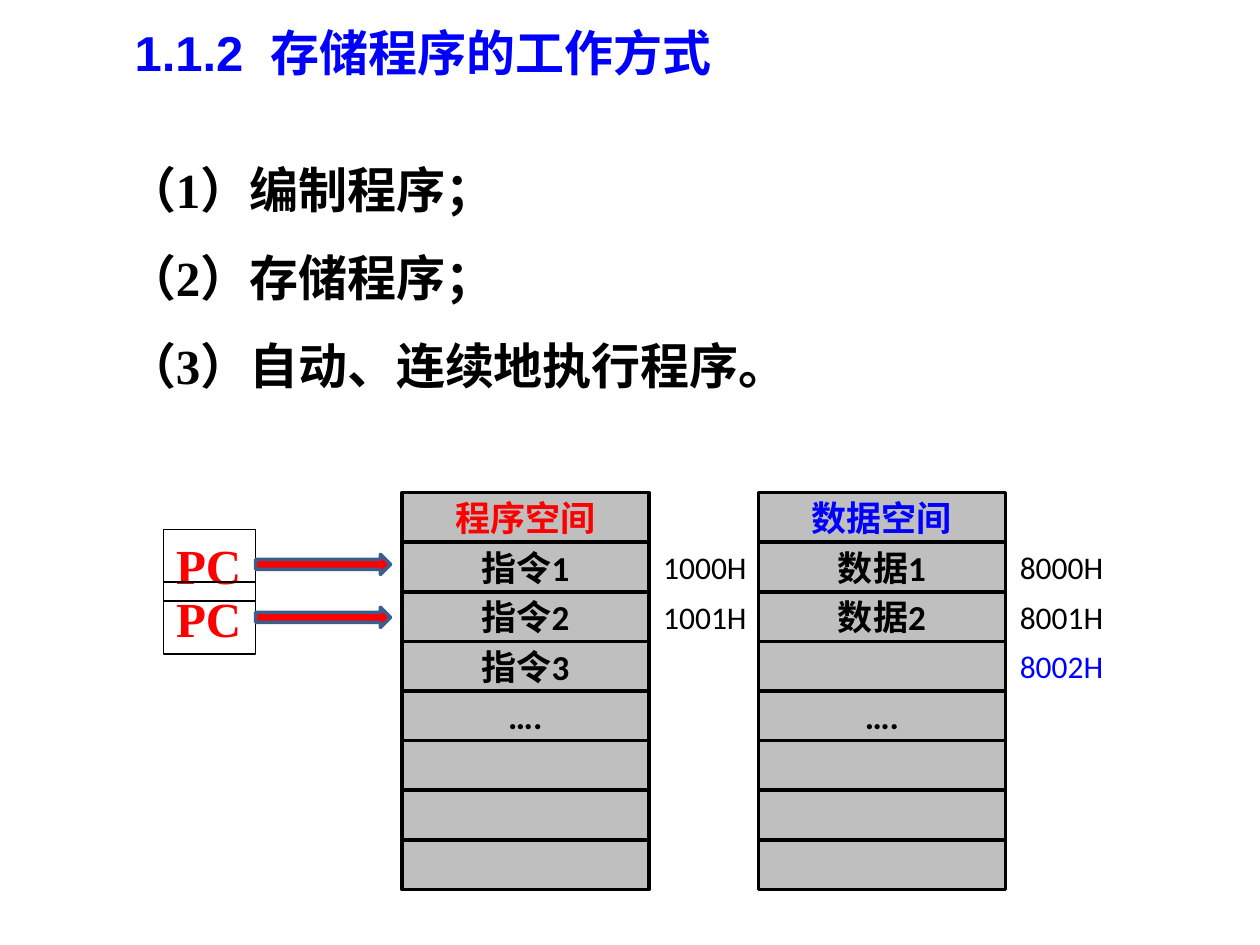
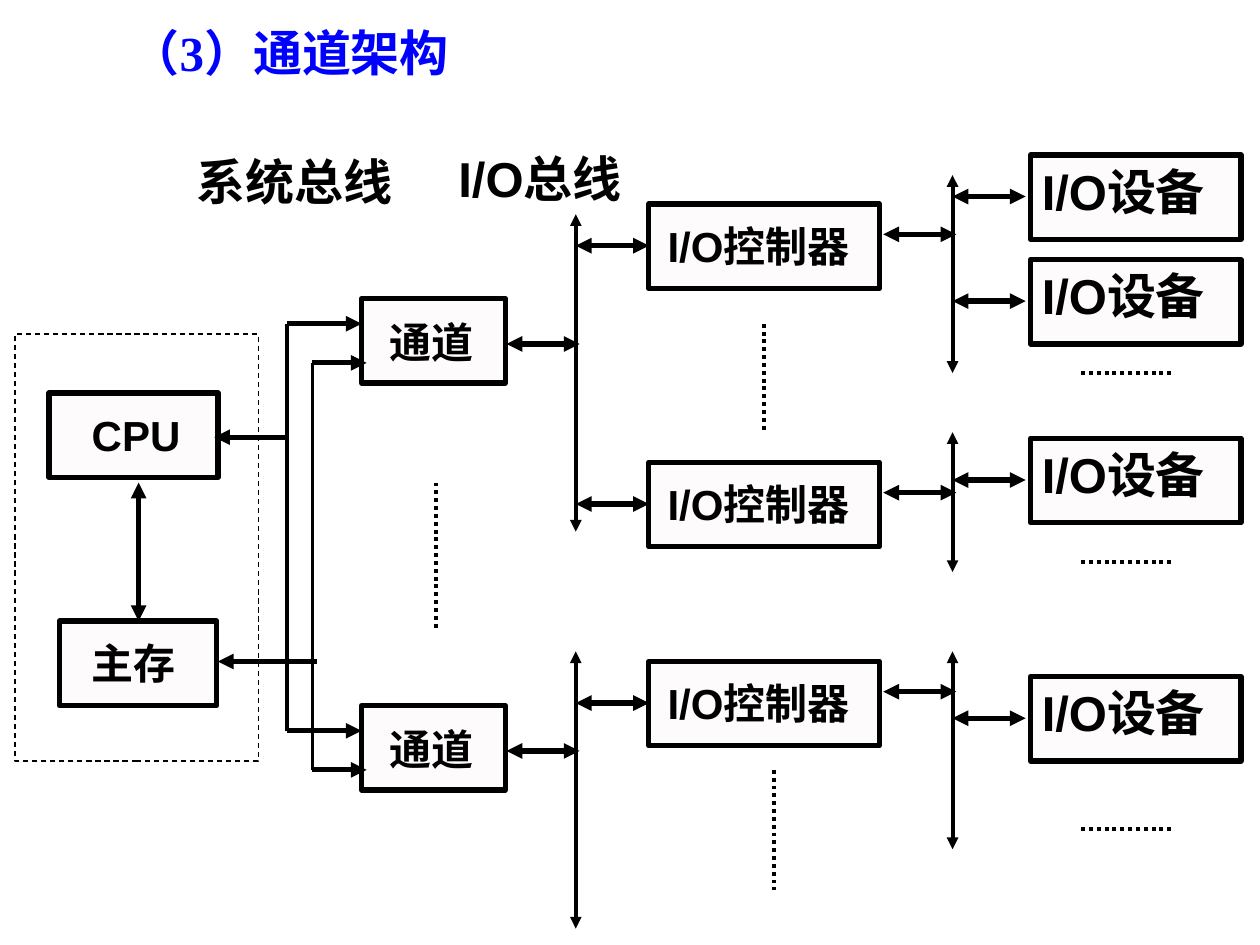
from lxml import etree
from pptx import Presentation
from pptx.dml.color import RGBColor
from pptx.enum.dml import MSO_LINE
from pptx.enum.shapes import MSO_CONNECTOR, MSO_SHAPE
from pptx.enum.text import MSO_ANCHOR, PP_ALIGN
from pptx.oxml.ns import qn
from pptx.util import Inches, Pt

RECTANGLE = MSO_SHAPE.RECTANGLE
RIGHT_ARROW = MSO_SHAPE.RIGHT_ARROW
STRAIGHT = MSO_CONNECTOR.STRAIGHT
DASH = MSO_LINE.DASH
DOTS = MSO_LINE.ROUND_DOT
LEFT, CENTER = PP_ALIGN.LEFT, PP_ALIGN.CENTER
TOP, MIDDLE = MSO_ANCHOR.TOP, MSO_ANCHOR.MIDDLE

COLORS = {
    "black": "000000",
    "white": "FFFFFF",
    "blue": "0000FF",
    "red": "FF0000",
    "cell": "BFBFBF",
    "node": "FDFBFB",
    "arrow_edge": "3A5F8C",
}
SANS, SERIF, BODY = "Arial", "Times New Roman", "Calibri"
TITLE_SIZE = 28
THICK, THIN = 3, 2.25
ROW_HEIGHT = 3.15 / 8


def color(name):
    return RGBColor.from_string(COLORS[name])


def write(shape, lines, size, font, ink="black", bold=True, align=LEFT,
          anchor=TOP, wrap=True, spacing=None):
    frame = shape.text_frame
    frame.text = "\n".join(lines)
    frame.word_wrap = wrap
    frame.vertical_anchor = anchor
    for para in frame.paragraphs:
        para.alignment = align
        para.line_spacing = spacing
        for span in para.runs:
            span.font.size = Pt(size)
            span.font.name = font
            span.font.bold = bold
            span.font.color.rgb = color(ink)


def add_text(page, place, lines, size, font, **style):
    box = page.shapes.add_textbox(*map(Inches, place))
    write(box, lines, size, font, **style)


def add_title(page, place, text, font):
    add_text(page, place, [text], TITLE_SIZE, font, ink="blue")


def add_box(page, place, fill=None, edge=None, width=THICK, kind=RECTANGLE):
    box = page.shapes.add_shape(kind, *map(Inches, place))
    box.shadow.inherit = False
    if fill:
        box.fill.solid()
        box.fill.fore_color.rgb = color(fill)
    else:
        box.fill.background()
    if edge:
        box.line.color.rgb = color(edge)
        box.line.width = Pt(width)
    else:
        box.line.fill.background()
    return box


def add_line(page, start, end, width=THICK, head=False, tail=False, dash=None):
    line = page.shapes.add_connector(STRAIGHT, *map(Inches, (*start, *end)))
    line.line.color.rgb = color("black")
    line.line.width = Pt(width)
    if dash:
        line.line.dash_style = dash
    outline = line.line._get_or_add_ln()
    for tag, wanted in (("a:headEnd", head), ("a:tailEnd", tail)):
        if wanted:
            etree.SubElement(outline, qn(tag), type="triangle")
    etree.SubElement(line._element.spPr, qn("a:effectLst"))


def add_link(page, left, y, length=0.58):
    add_line(page, (left, y), (left + length, y), head=True, tail=True)


def add_bus(page, x, top, bottom):
    add_line(page, (x, top), (x, bottom), THIN, head=True, tail=True)


def add_dots(page, start, end):
    add_line(page, start, end, THIN, dash=DOTS)


def add_node(page, place, text, label_place, size=24):
    add_box(page, place, "node", "black")
    add_text(page, label_place, [text], size, SANS)


def add_program_counter(page, top):
    box = add_box(page, (1.3, top, 0.73, 0.57), edge="black", width=0.75)
    write(box, ["PC"], 28, SERIF, ink="red", wrap=False)
    add_box(page, (2.03, top + 0.2, 1.07, 0.16), "red", "arrow_edge", 2, RIGHT_ARROW)


def add_memory(page, left, heading, heading_ink, contents, addresses):
    top = 3.91
    for row, (address, ink) in enumerate(addresses, 1):
        place = (left + 1.89, top + row * ROW_HEIGHT, 1.03, ROW_HEIGHT)
        box = add_box(page, place, "white")
        write(box, [address], 18, BODY, ink, False, CENTER, MIDDLE)
    for row, text in enumerate([heading, *contents]):
        place = (left, top + row * ROW_HEIGHT, 1.96, ROW_HEIGHT)
        box = add_box(page, place, "cell", "black", 2)
        if text:
            ink = "black" if row else heading_ink
            write(box, [text], 20, BODY, ink, True, CENTER, MIDDLE)


def add_channel(page, top):
    add_node(page, (2.87, top, 1.14, 0.67), "通道", (2.99, top + 0.09, 1.1, 0.5))
    add_link(page, 4.02, top + 0.36)
    for bus_x, end_x, drop in ((2.28, 2.87, 0.2), (2.48, 2.91, 0.51)):
        add_line(page, (bus_x, top + drop), (end_x, top + drop), tail=True)


def add_controller(page, top):
    add_node(page, (5.15, top, 1.83, 0.67), "I/O控制器", (5.2, top + 0.08, 1.83, 0.5))
    add_link(page, 4.57, top + 0.33)
    add_link(page, 7.01, top + 0.24)


def add_device(page, top):
    add_node(page, (8.18, top, 1.67, 0.67), "I/O设备", (8.17, top, 1.62, 0.57), 28)
    add_link(page, 7.56, top + 0.33)


def build_stored_program(page):
    add_title(page, (0.97, 0.13, 6.15, 0.57), "1.1.2  存储程序的工作方式", SANS)
    steps = ["（1）编制程序；", "（2）存储程序；", "（3）自动、连续地执行程序。"]
    add_text(page, (0.91, 0.98, 7.48, 2.22), steps, 28, SERIF, spacing=1.5)
    for top in (4.2, 4.62):
        add_program_counter(page, top)
    add_memory(page, 3.19, "程序空间", "red",
               ["指令1", "指令2", "指令3", "….", "", "", ""],
               [("1000H", "black"), ("1001H", "black")])
    add_memory(page, 6.02, "数据空间", "blue",
               ["数据1", "数据2", "", "….", "", "", ""],
               [("8000H", "black"), ("8001H", "black"), ("8002H", "blue")])


def build_channel_architecture(page):
    add_title(page, (0.94, 0.13, 2.76, 0.57), "（3）通道架构", SERIF)
    add_text(page, (1.46, 1.15, 2, 0.57), ["系统总线"], 28, SANS)
    add_text(page, (3.54, 1.13, 2, 0.57), ["I/O总线"], 28, SANS)

    add_box(page, (0.12, 2.65, 1.93, 3.39), edge="black", width=0.75).line.dash_style = DASH
    add_node(page, (0.39, 3.12, 1.34, 0.67), "CPU", (0.63, 3.2, 1.17, 0.5))
    add_node(page, (0.47, 4.93, 1.25, 0.67), "主存", (0.63, 5.01, 1.17, 0.5))
    add_bus_width = THICK
    add_line(page, (1.1, 3.83), (1.1, 4.93), add_bus_width, head=True, tail=True)

    for top in (2.37, 5.6):
        add_channel(page, top)
    for top in (1.62, 3.67, 5.25):
        add_controller(page, top)
    for top in (1.23, 2.06, 3.48, 5.37):
        add_device(page, top)

    for x, top, bottom in ((2.28, 2.57, 5.8), (2.48, 2.88, 6.11)):
        add_line(page, (x, top), (x, bottom), THIN)
    add_line(page, (1.7, 3.47), (2.28, 3.47), head=True)
    add_line(page, (1.73, 5.25), (2.52, 5.25), head=True)

    for top, bottom in ((1.7, 4.22), (5.17, 7.37)):
        add_bus(page, 4.57, top, bottom)
    for top, bottom in ((1.39, 2.96), (3.43, 4.54), (5.17, 6.74)):
        add_bus(page, 7.56, top, bottom)

    for y in (2.96, 4.46, 6.58):
        add_dots(page, (8.58, y), (9.29, y))
    for x, top, bottom in ((3.46, 3.83, 5.01), (6.06, 2.57, 3.43), (6.14, 6.11, 7.06)):
        add_dots(page, (x, top), (x, bottom))


def main():
    deck = Presentation()
    deck.slide_width = Inches(10)
    deck.slide_height = Inches(7.5)
    blank = deck.slide_layouts[6]
    for build in (build_stored_program, build_channel_architecture):
        build(deck.slides.add_slide(blank))
    deck.save("out.pptx")


if __name__ == "__main__":
    main()
